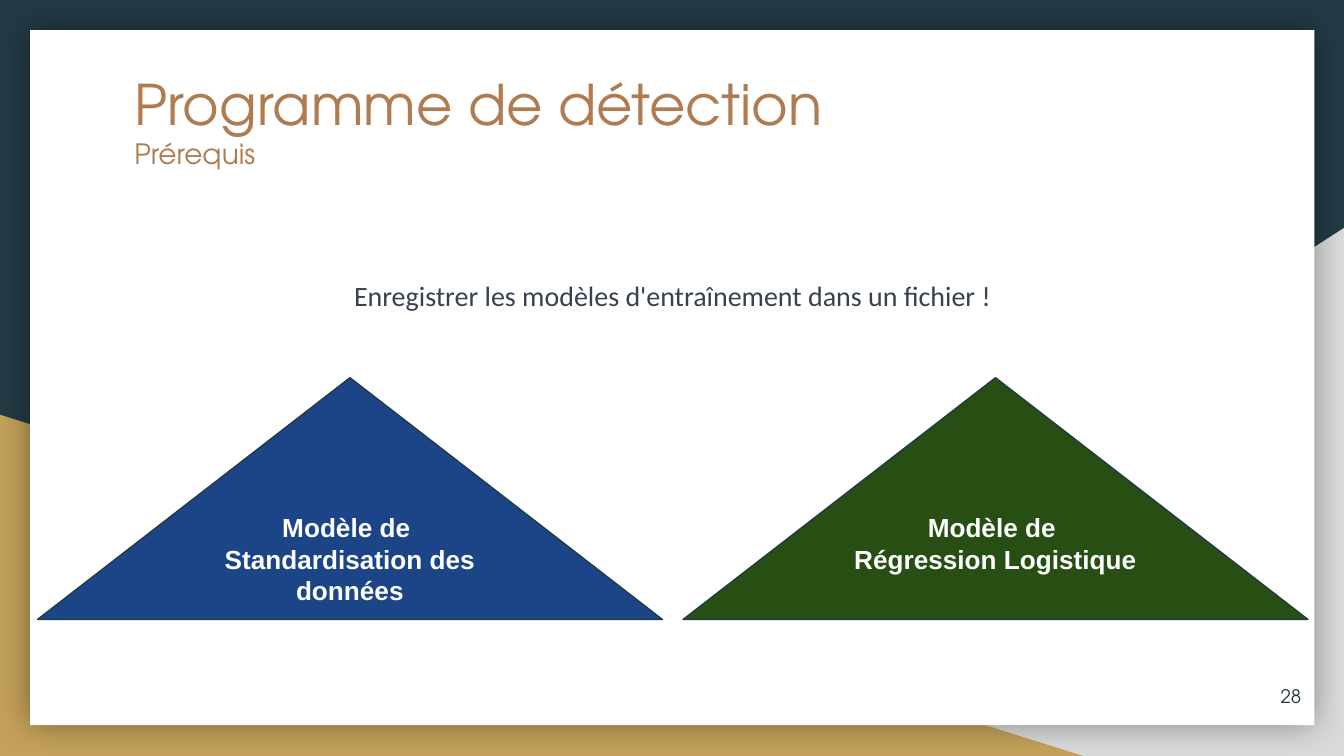
from dataclasses import dataclass

from lxml.etree import SubElement
from pptx import Presentation
from pptx.dml.color import RGBColor
from pptx.enum.shapes import MSO_SHAPE
from pptx.enum.text import MSO_ANCHOR, PP_ALIGN
from pptx.oxml.ns import qn
from pptx.shapes.autoshape import Shape
from pptx.slide import Slide
from pptx.util import Cm, Pt

COLORS = {
    "night": "233A44",
    "grey": "D9D9D9",
    "gold": "C4A15A",
    "white": "FFFFFF",
    "copper": "AF7B51",
    "slate": "374151",
    "blue": "1C4587",
    "green": "274E13",
    "black": "000000",
}
HEADING_FONT = "TeX Gyre Adventor"


@dataclass(frozen=True)
class Box:
    """Position and size in centimetres."""

    left: float
    top: float
    width: float
    height: float

    def lengths(self) -> tuple[Cm, Cm, Cm, Cm]:
        """Return the four values as lengths."""
        return Cm(self.left), Cm(self.top), Cm(self.width), Cm(self.height)


@dataclass(frozen=True)
class Model:
    """A saved model shown as a triangle."""

    name: str
    color: str


MODELS = [
    Model("Standardisation des données", "blue"),
    Model("Régression Logistique", "green"),
]


def rgb(color: str) -> RGBColor:
    """Look up a named colour."""
    return RGBColor.from_string(COLORS[color])


def write(shape: Shape, *lines: str, sizes: tuple[float, ...], font: str, color: str,
          align: PP_ALIGN = PP_ALIGN.LEFT, anchor: MSO_ANCHOR = MSO_ANCHOR.TOP,
          bold: bool = False, highlight: str | None = None) -> None:
    """Fill a shape with one paragraph per line."""
    frame = shape.text_frame
    frame.word_wrap = True
    frame.vertical_anchor = anchor
    frame.margin_left = frame.margin_right = Cm(0.25)
    frame.margin_top = frame.margin_bottom = Cm(0.25)
    for index, (line, size) in enumerate(zip(lines, sizes)):
        paragraph = frame.add_paragraph() if index else frame.paragraphs[0]
        paragraph.alignment = align
        run = paragraph.add_run()
        run.text = line
        run.font.size = Pt(size)
        run.font.bold = bold
        run.font.color.rgb = rgb(color)
        if highlight:
            marker = SubElement(run.font._element, qn("a:highlight"))
            SubElement(marker, qn("a:srgbClr"), val=COLORS[highlight])
        run.font.name = font


def add_figure(slide: Slide, kind: MSO_SHAPE, box: Box, fill: str,
               outline: str | None = None, flipped: bool = False) -> Shape:
    """Draw a filled preset shape."""
    figure = slide.shapes.add_shape(kind, *box.lengths())
    figure.shadow.inherit = False
    figure.fill.solid()
    figure.fill.fore_color.rgb = rgb(fill)
    if outline:
        figure.line.color.rgb = rgb(outline)
        figure.line.width = Pt(0.75)
    else:
        figure.line.fill.background()
    if flipped:
        figure.element.spPr.find(qn("a:xfrm")).set("flipH", "1")
    return figure


def add_glow_shadow(card: Shape) -> None:
    """Give the card a soft shadow on all sides."""
    effects = card.element.spPr.find(qn("a:effectLst"))
    shadow = SubElement(effects, qn("a:outerShdw"), blurRad=str(Pt(18)), dist="0",
                        dir="0", algn="ctr", rotWithShape="0")
    tint = SubElement(shadow, qn("a:srgbClr"), val=COLORS["black"])
    SubElement(tint, qn("a:alpha"), val="40000")


def add_text(slide: Slide, box: Box) -> Shape:
    """Add an empty text box."""
    return slide.shapes.add_textbox(*box.lengths())


def add_model(slide: Slide, model: Model, column: int) -> None:
    """Draw one labelled model triangle."""
    box = Box(0.71 + 12.2 * column, 7.14, 11.81, 4.57)
    triangle = add_figure(slide, MSO_SHAPE.ISOSCELES_TRIANGLE, box, model.color, "night")
    write(triangle, "Modèle de ", model.name, sizes=(14, 14), font="Arial",
          color="white", align=PP_ALIGN.CENTER, bold=True)


def main() -> None:
    """Build and save the slide."""
    deck = Presentation()
    deck.slide_width, deck.slide_height = Cm(25.4), Cm(14.29)
    slide = deck.slides.add_slide(deck.slide_layouts[6])
    slide.background.fill.solid()
    slide.background.fill.fore_color.rgb = rgb("night")

    add_figure(slide, MSO_SHAPE.RIGHT_TRIANGLE, Box(9.96, 4.31, 15.44, 9.98), "grey", flipped=True)
    add_figure(slide, MSO_SHAPE.RIGHT_TRIANGLE, Box(0, 7.84, 20.47, 6.45), "gold")
    card = add_figure(slide, MSO_SHAPE.RECTANGLE, Box(0.57, 0.57, 24.27, 13.14), "white")
    add_glow_shadow(card)

    title = add_text(slide, Box(2.29, 1.07, 20.85, 2.64))
    write(title, "Programme de détection", "Prérequis", sizes=(30, 15),
          font=HEADING_FONT, color="copper")
    message = add_text(slide, Box(2.29, 4.04, 20.85, 3.1))
    write(message, "Enregistrer les modèles d'entraînement dans un fichier !", sizes=(15,),
          font="Calibri", color="slate", align=PP_ALIGN.CENTER,
          anchor=MSO_ANCHOR.MIDDLE, highlight="white")
    for column, model in enumerate(MODELS):
        add_model(slide, model, column)
    page_number = add_text(slide, Box(23.32, 12.62, 1.52, 1.09))
    write(page_number, "28", sizes=(10,), font=HEADING_FONT, color="night",
          align=PP_ALIGN.RIGHT, anchor=MSO_ANCHOR.MIDDLE)
    deck.save("out.pptx")


if __name__ == "__main__":
    main()
